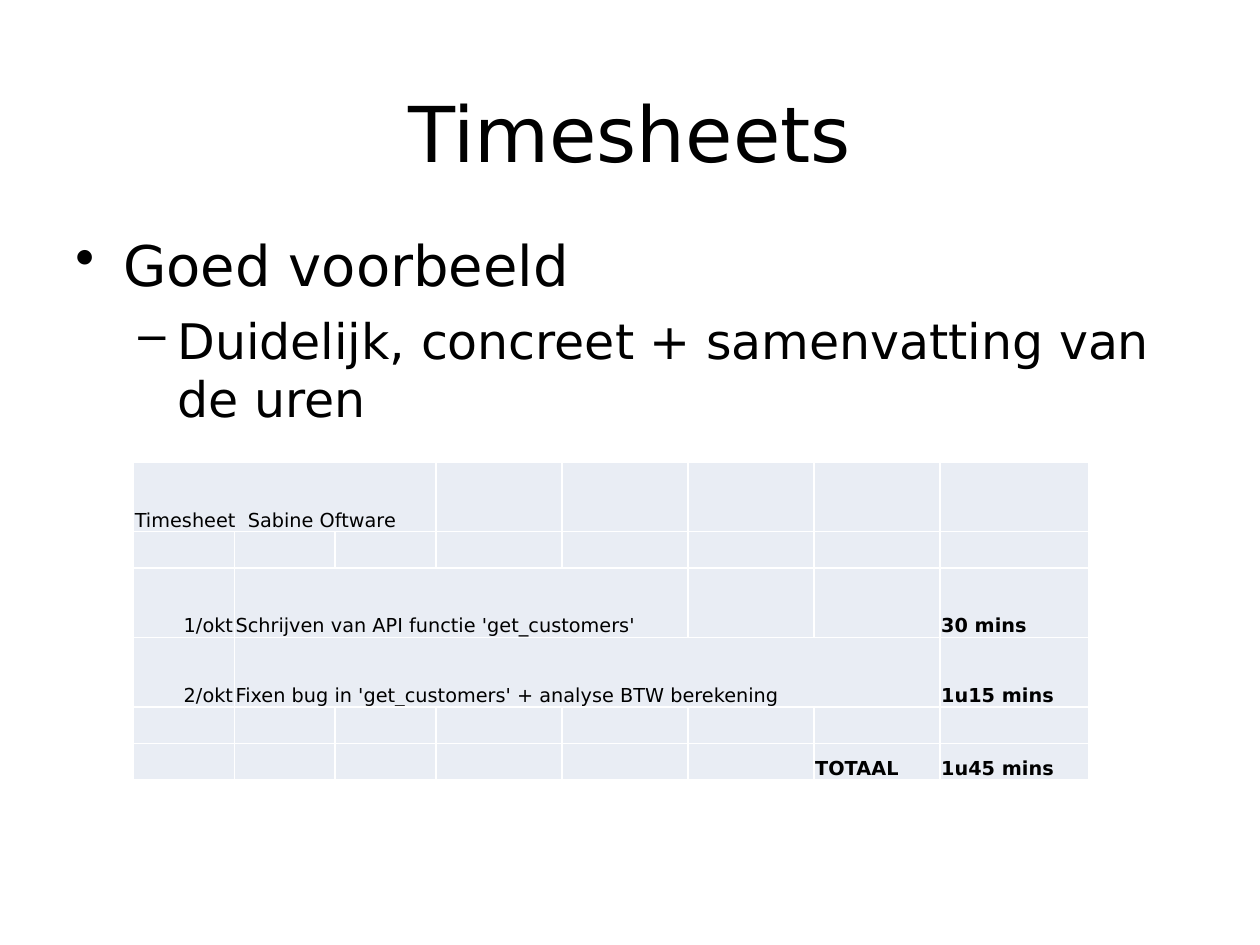
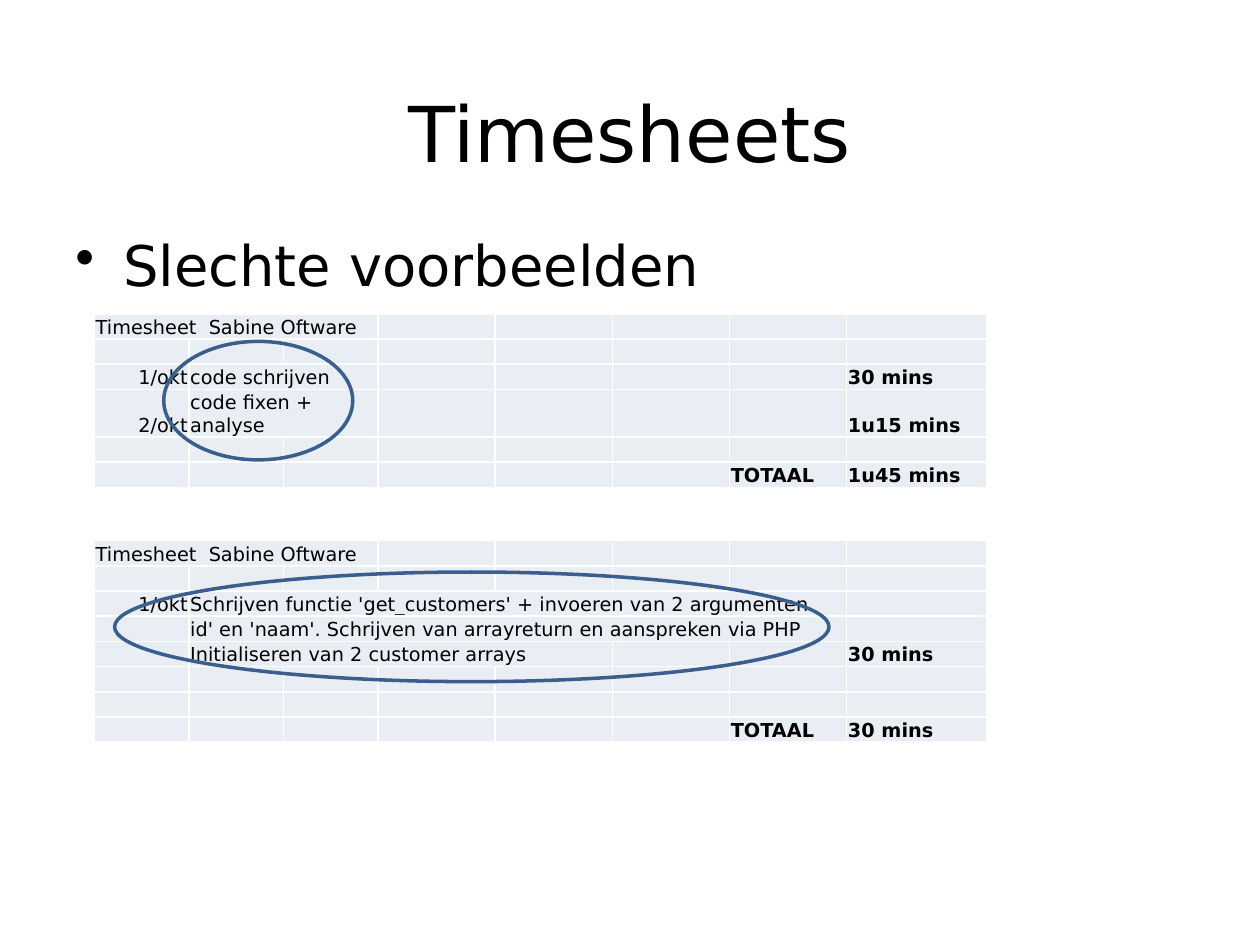
from dataclasses import dataclass
from lxml import etree
from pptx import Presentation
from pptx.dml.color import RGBColor
from pptx.enum.shapes import MSO_SHAPE as Shape
from pptx.enum.text import MSO_ANCHOR as Anchor, PP_ALIGN as Align
from pptx.oxml.ns import qn
from pptx.util import Inches, Pt


@dataclass(frozen=True)
class Theme:
    font: str = "DejaVu Sans"
    ink: str = "000000"
    paper: str = "FFFFFF"
    cell: str = "E9EDF4"
    marker: str = "3A5F8C"
    title: int = 44
    levels: tuple = (32, 28)
    table: int = 11
    marker_width: int = 2


THEME = Theme()
TITLE = "Timesheets"
HEADING = {0: ("Timesheet  Sabine Oftware", 3)}
BULLETS = [("\u2022", 0.38, 0.38, 0), ("\u2013", 0.81, 0.31, 7)]


def entry(date, work, span, hours):
    texts = {0: date, 1: work, 7: hours}
    return {col: (text, span if col == 1 else 1) for col, text in texts.items() if text}


def total(hours):
    return {6: ("TOTAAL", 1), 7: (hours, 1)}


WIDE_COLUMNS = [0.8] * 3 + [1] * 4 + [1.18]
NARROW_COLUMNS = [0.75] * 3 + [0.93] * 4 + [1.11]

SLIDES = [
    {
        "points": ["Goed voorbeeld", "Duidelijk, concreet + samenvatting van de uren"],
        "timesheets": [{
            "place": (1.06, 3.67),
            "columns": WIDE_COLUMNS,
            "heights": [0.55, 0.29, 0.55, 0.55, 0.29, 0.29],
            "rows": [
                HEADING,
                {},
                entry("1/okt", "Schrijven van API functie 'get_customers'", 4, "30 mins"),
                entry("2/okt", "Fixen bug in 'get_customers' + analyse BTW berekening", 6, "1u15 mins"),
                {},
                total("1u45 mins"),
            ],
        }],
    },
    {
        "points": ["Slechte voorbeelden"],
        "timesheets": [
            {
                "place": (0.75, 2.49),
                "columns": NARROW_COLUMNS,
                "heights": [0.2, 0.2, 0.2, 0.37, 0.2, 0.2],
                "rows": [
                    HEADING,
                    {},
                    entry("1/okt", "code schrijven", 2, "30 mins"),
                    entry("2/okt", "code fixen + analyse", 2, "1u15 mins"),
                    {},
                    total("1u45 mins"),
                ],
                "marker": (1.3, 2.71, 1.5, 0.94),
            },
            {
                "place": (0.75, 4.29),
                "columns": NARROW_COLUMNS,
                "heights": [0.2] * 8,
                "rows": [
                    HEADING,
                    {},
                    entry("1/okt", "Schrijven functie 'get_customers' + invoeren van 2 argumenten", 6, None),
                    entry(None, "id' en 'naam'. Schrijven van arrayreturn en aanspreken via PHP", 6, None),
                    entry(None, "Initialiseren van 2 customer arrays", 4, "30 mins"),
                    {},
                    {},
                    total("30 mins"),
                ],
                "marker": (0.91, 4.54, 5.67, 0.87),
            },
        ],
    },
]


def color(code):
    return RGBColor.from_string(code)


def style(paragraph, size, bold=False):
    for run in paragraph.runs:
        run.font.name = THEME.font
        run.font.size = Pt(size)
        run.font.bold = bold
        run.font.color.rgb = color(THEME.ink)


def add_text_area(slide, place, top_inset):
    frame = slide.shapes.add_textbox(*map(Inches, place)).text_frame
    frame.word_wrap = True
    frame.vertical_anchor = Anchor.TOP
    frame.margin_top = Inches(top_inset)
    return frame


def add_title(slide):
    paragraph = add_text_area(slide, (0.5, 0.58, 9, 1.08), 0.1).paragraphs[0]
    paragraph.text = TITLE
    paragraph.alignment = Align.CENTER
    style(paragraph, THEME.title)


def add_points(slide, points):
    frame = add_text_area(slide, (0.5, 1.75, 9, 5.33), 0.08)
    frame.text = "\n".join(points)
    for level, paragraph in enumerate(frame.paragraphs):
        sign, margin, hanging, space = BULLETS[level]
        paragraph.level = level
        paragraph.space_before = Pt(space)
        style(paragraph, THEME.levels[level])
        properties = paragraph._p.get_or_add_pPr()
        properties.set("marL", str(Inches(margin)))
        properties.set("indent", str(-Inches(hanging)))
        etree.SubElement(properties, qn("a:buChar"), char=sign)


def dress_cell(cell):
    properties = cell._tc.get_or_add_tcPr()
    for side in ("a:lnL", "a:lnR", "a:lnT", "a:lnB"):
        line = etree.SubElement(properties, qn(side), w=str(Pt(1)))
        fill = etree.SubElement(line, qn("a:solidFill"))
        etree.SubElement(fill, qn("a:srgbClr"), val=THEME.paper)
    cell.fill.solid()
    cell.fill.fore_color.rgb = color(THEME.cell)
    cell.vertical_anchor = Anchor.BOTTOM
    cell.margin_left = cell.margin_right = cell.margin_top = Inches(0.01)
    cell.margin_bottom = 0


def add_timesheet(slide, sheet):
    columns, heights, rows = sheet["columns"], sheet["heights"], sheet["rows"]
    box = (*sheet["place"], sum(columns), sum(heights))
    table = slide.shapes.add_table(len(rows), len(columns), *map(Inches, box)).table
    table.first_row = table.horz_banding = False
    for column, width in zip(table.columns, columns):
        column.width = Inches(width)
    for r, (row, height) in enumerate(zip(rows, heights)):
        table.rows[r].height = Inches(height)
        for c in range(len(columns)):
            text, span = row.get(c, ("", 1))
            cell = table.cell(r, c)
            dress_cell(cell)
            paragraph = cell.text_frame.paragraphs[0]
            if text:
                paragraph.text = text
                if c == 0 and span == 1:
                    paragraph.alignment = Align.RIGHT
                style(paragraph, THEME.table, bold=c >= 6)
            else:
                etree.SubElement(paragraph._p, qn("a:endParaRPr"), sz=str(THEME.table * 100))
            if span > 1:
                cell.merge(table.cell(r, c + span - 1))


def add_marker(slide, place):
    ellipse = slide.shapes.add_shape(Shape.OVAL, *map(Inches, place))
    ellipse.shadow.inherit = False
    ellipse.fill.background()
    ellipse.line.color.rgb = color(THEME.marker)
    ellipse.line.width = Pt(THEME.marker_width)


deck = Presentation()
deck.slide_width, deck.slide_height = Inches(10), Inches(7.5)
for content in SLIDES:
    slide = deck.slides.add_slide(deck.slide_layouts[6])
    slide.background.fill.solid()
    slide.background.fill.fore_color.rgb = color(THEME.paper)
    add_title(slide)
    add_points(slide, content["points"])
    for sheet in content["timesheets"]:
        add_timesheet(slide, sheet)
        if "marker" in sheet:
            add_marker(slide, sheet["marker"])
deck.save("out.pptx")
